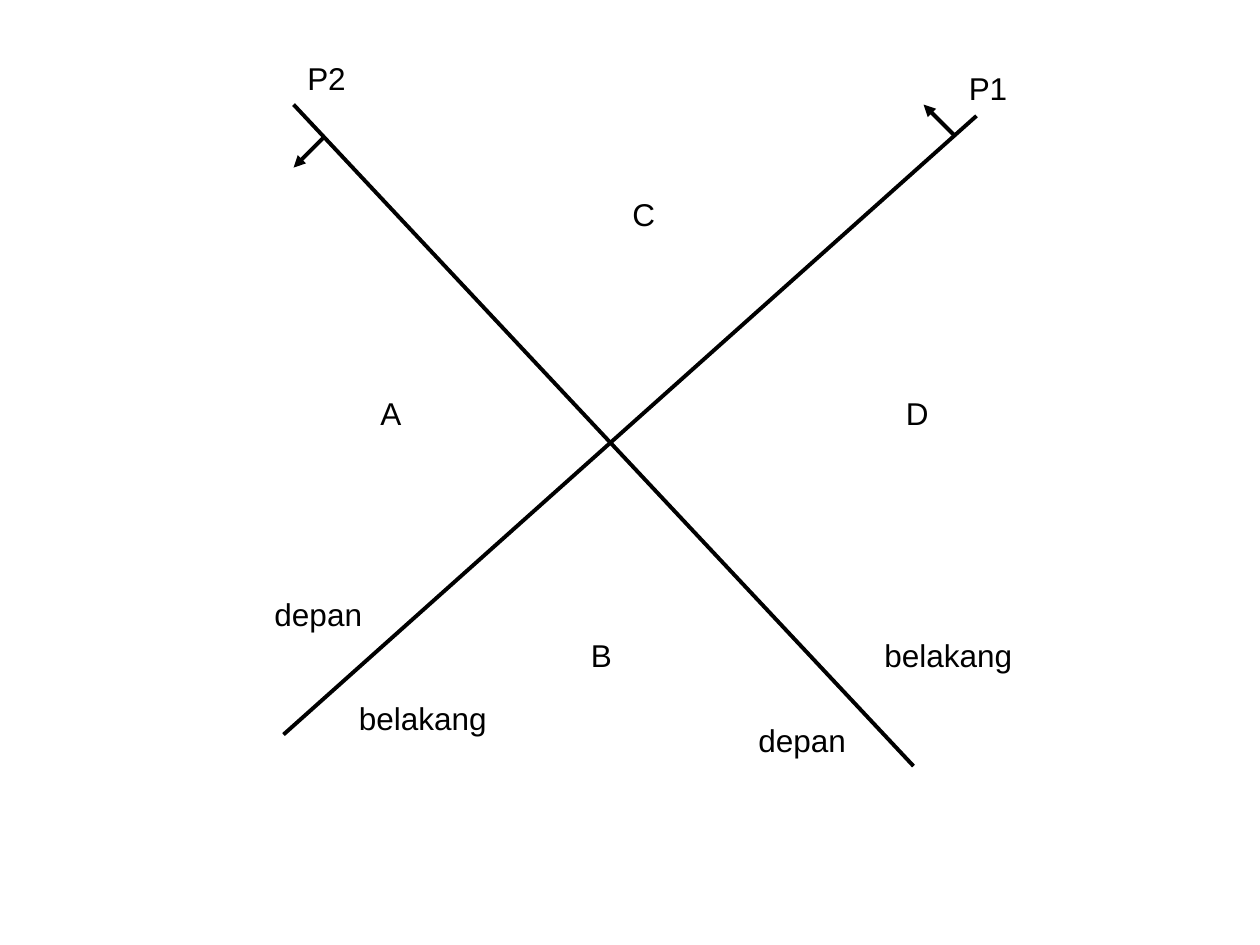
from lxml import etree
from pptx import Presentation
from pptx.dml.color import RGBColor
from pptx.enum.shapes import MSO_CONNECTOR
from pptx.enum.text import MSO_AUTO_SIZE
from pptx.oxml.ns import qn
from pptx.util import Inches, Pt

STRAIGHT = MSO_CONNECTOR.STRAIGHT
FIT_SHAPE = MSO_AUTO_SIZE.SHAPE_TO_FIT_TEXT
COLORS = {"ink": "000000", "background": "FFFFFF"}
LABEL_HEIGHT = 0.4

PLANES = [((7.75, 0.92), (2.25, 5.83)), ((2.33, 0.83), (7.25, 6.08))]
NORMALS = [((7.58, 1.08), (7.33, 0.83)), ((2.58, 1.08), (2.33, 1.33))]
LABELS = [
    ("P1", 7.59, 0.5, 0.52),
    ("D", 7.09, 3.08, 0.39),
    ("C", 4.92, 1.5, 0.39),
    ("B", 4.59, 5, 0.38),
    ("A", 2.92, 3.08, 0.38),
    ("belakang", 6.92, 5, 1.23),
    ("depan", 5.92, 5.67, 0.91),
    ("belakang", 2.75, 5.5, 1.23),
    ("depan", 2.08, 4.67, 0.91),
    ("P2", 2.34, 0.42, 0.52),
]


def write_text(frame, text, *, font="Arial", size=18, color="ink"):
    run = frame.paragraphs[0].add_run()
    run.text = text
    run.font.name = font
    run.font.size = Pt(size)
    run.font.color.rgb = RGBColor.from_string(COLORS[color])


class Diagram:
    line_width = Pt(2.25)

    def __init__(self, slide):
        self.slide = slide
        background = slide.background.fill
        background.solid()
        background.fore_color.rgb = RGBColor.from_string(COLORS["background"])

    def line(self, start, end):
        connector = self.slide.shapes.add_connector(
            STRAIGHT, *(Inches(length) for length in start + end)
        )
        connector.line.width = self.line_width
        connector.line.color.rgb = RGBColor.from_string(COLORS["ink"])
        etree.SubElement(connector._element.spPr, qn("a:effectLst"))
        return connector

    def arrow(self, start, end):
        stroke = self.line(start, end).line._get_or_add_ln()
        etree.SubElement(stroke, qn("a:tailEnd"), type="triangle")

    def label(self, text, left, top, width):
        box = self.slide.shapes.add_textbox(
            Inches(left), Inches(top), Inches(width), Inches(LABEL_HEIGHT)
        )
        box.text_frame.word_wrap = False
        box.text_frame.auto_size = FIT_SHAPE
        write_text(box.text_frame, text)


def main():
    deck = Presentation()
    deck.slide_width, deck.slide_height = Inches(10), Inches(7.5)
    diagram = Diagram(deck.slides.add_slide(deck.slide_layouts[6]))
    for start, end in PLANES:
        diagram.line(start, end)
    for start, end in NORMALS:
        diagram.arrow(start, end)
    for text, left, top, width in LABELS:
        diagram.label(text, left, top, width)
    deck.save("out.pptx")


if __name__ == "__main__":
    main()
